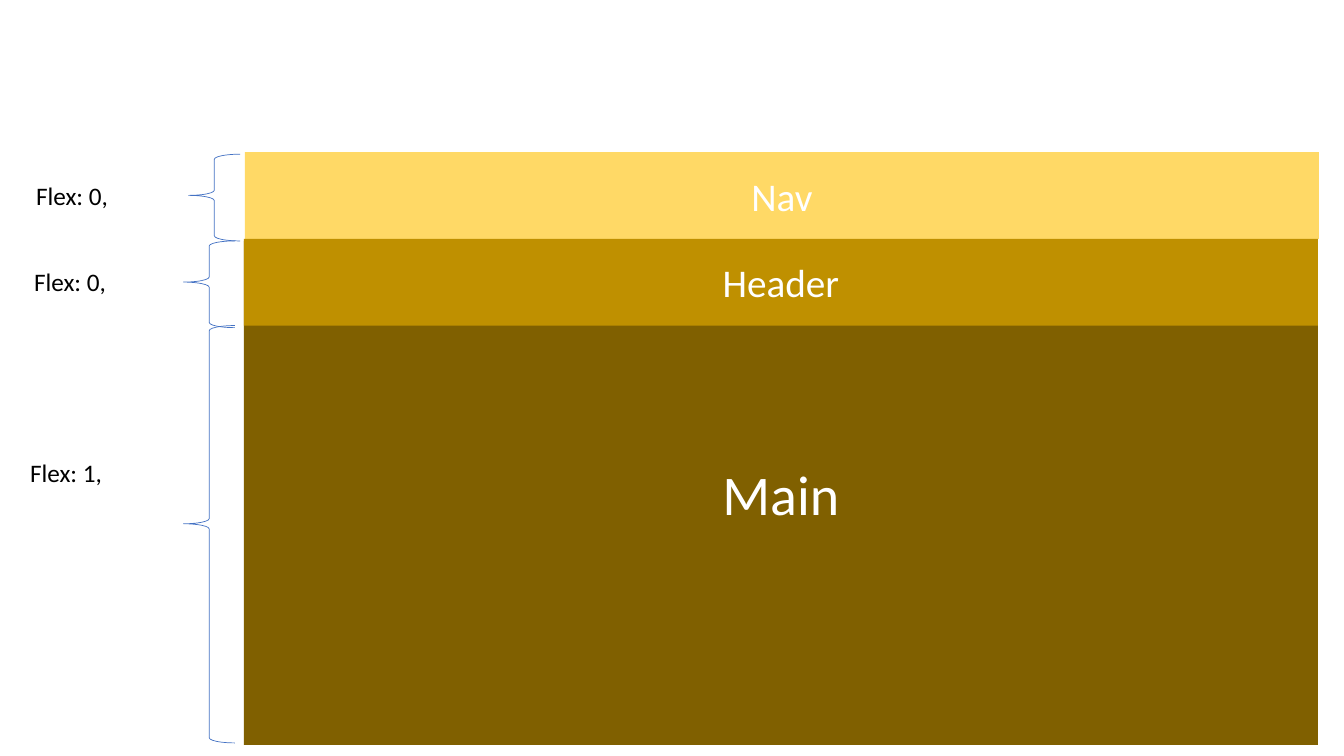
from pptx import Presentation
from pptx.dml.color import RGBColor
from pptx.enum.shapes import MSO_SHAPE
from pptx.enum.text import MSO_ANCHOR, MSO_AUTO_SIZE, PP_ALIGN
from pptx.util import Inches, Pt

SLIDE_WIDTH = Inches(13.33)
SLIDE_HEIGHT = Inches(7.5)
BAND_WIDTH = 79.9
BRACE_WIDTH = 3.83
LABEL_WIDTH = 11.33
LABEL_HEIGHT = 5.33
ROW_HEIGHT = 11.47
NAV_TOP = 20.13
HEADER_TOP = NAV_TOP + ROW_HEIGHT


def color(value):
    return RGBColor.from_string(value)


def box(left, top, width, height):
    return (
        round(SLIDE_WIDTH * left / 100),
        round(SLIDE_HEIGHT * top / 100),
        round(SLIDE_WIDTH * width / 100),
        round(SLIDE_HEIGHT * height / 100),
    )


def write(shape, text, size, text_color, alignment):
    shape.text_frame.text = text
    paragraph = shape.text_frame.paragraphs[0]
    paragraph.alignment = alignment
    font = paragraph.runs[0].font
    font.name = "Calibri"
    font.size = Pt(size)
    font.color.rgb = color(text_color)


def add_band(slide, text, size, fill, left, top, height):
    band = slide.shapes.add_shape(MSO_SHAPE.RECTANGLE, *box(left, top, BAND_WIDTH, height))
    band.shadow.inherit = False
    band.fill.solid()
    band.fill.fore_color.rgb = color(fill)
    band.line.fill.background()
    band.text_frame.vertical_anchor = MSO_ANCHOR.MIDDLE
    write(band, text, size, "FFFFFF", PP_ALIGN.CENTER)


def add_brace(slide, left, top, height):
    brace = slide.shapes.add_shape(MSO_SHAPE.LEFT_BRACE, *box(left, top, BRACE_WIDTH, height))
    brace.shadow.inherit = False
    brace.adjustments[0] = 0.1
    brace.adjustments[1] = 0.475
    brace.fill.background()
    brace.line.color.rgb = color("4472C4")
    brace.line.width = Pt(0.5)


def add_label(slide, text, left, top):
    label = slide.shapes.add_textbox(*box(left, top, LABEL_WIDTH, LABEL_HEIGHT))
    label.text_frame.word_wrap = True
    label.text_frame.auto_size = MSO_AUTO_SIZE.SHAPE_TO_FIT_TEXT
    write(label, text, 18, "000000", PP_ALIGN.LEFT)


def main():
    presentation = Presentation()
    presentation.slide_width = SLIDE_WIDTH
    presentation.slide_height = SLIDE_HEIGHT
    slide = presentation.slides.add_slide(presentation.slide_layouts[6])

    add_band(slide, "Nav", 28, "FFD966", 18.23, NAV_TOP, ROW_HEIGHT)
    add_band(slide, "Main", 40, "806000", 18.15, 31.87, 66.67)
    add_band(slide, "Header", 28, "BF9000", 18.15, HEADER_TOP, ROW_HEIGHT)

    add_brace(slide, 14.03, 20.4, ROW_HEIGHT)
    add_brace(slide, 13.65, 31.87, ROW_HEIGHT)
    add_brace(slide, 13.65, 43.07, 55.2)

    add_label(slide, "Flex: 0,", 1.95, 23.2)
    add_label(slide, "Flex: 0,", 1.8, 34.53)
    add_label(slide, "Flex: 1,", 1.5, 59.87)

    presentation.save("out.pptx")


if __name__ == "__main__":
    main()
